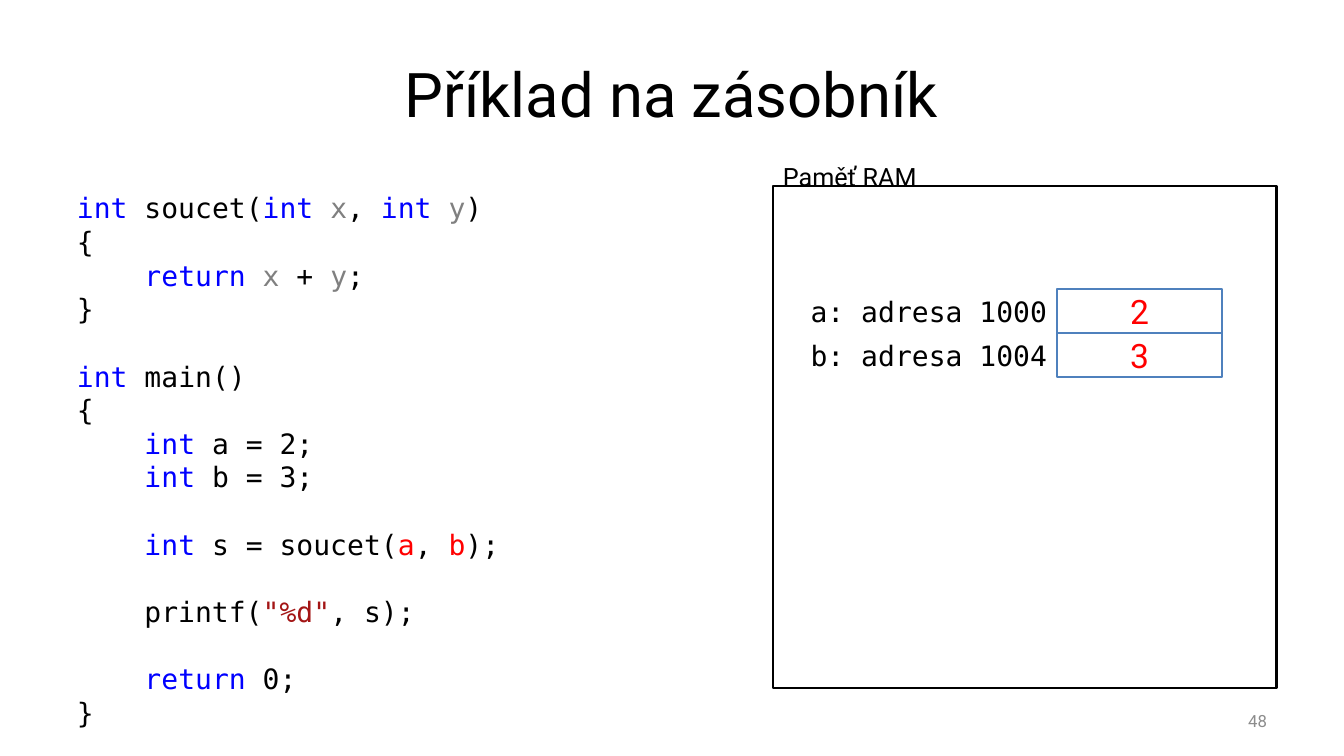
from pptx import Presentation
from pptx.dml.color import RGBColor
from pptx.enum.shapes import MSO_SHAPE
from pptx.enum.text import MSO_ANCHOR, PP_ALIGN
from pptx.util import Emu, Pt

RECT = MSO_SHAPE.RECTANGLE
TOP, MIDDLE = MSO_ANCHOR.TOP, MSO_ANCHOR.MIDDLE
LEFT, CENTER, RIGHT = PP_ALIGN.LEFT, PP_ALIGN.CENTER, PP_ALIGN.RIGHT
SANS, MONO = "Roboto", "DejaVu Sans Mono"
BLACK, WHITE, RED, BLUE, GRAY = "000000", "FFFFFF", "FF0000", "0000FF", "808080"
TOKENS = {"int": BLUE, "return": BLUE, "x": GRAY, "y": GRAY,
          "a": RED, "b": RED, '"%d"': "A31515"}
CODE = """int| soucet(|int |x|, |int |y|)
{
    |return |x| + |y|;
}

int |main()
{
    |int| a = 2;
    |int| b = 3;

    |int| s = soucet(|a|, |b|);

    printf(|"%d"|, s);

    |return| 0;
}"""
VARIABLES = [("a: adresa 1000", "2"), ("b: adresa 1004", "3")]


def px(n):
    return Emu(round(n * 914400 / 100.8))


def color(value):
    return RGBColor.from_string(value)


class Deck:
    """Hold the presentation, its text style and the current slide."""

    def __init__(self, width, height):
        self.prs = Presentation()
        self.prs.slide_width, self.prs.slide_height = px(width), px(height)
        self.s = self.prs.slides.add_slide(self.prs.slide_layouts[6])

    def style(self, r, size, font, ink):
        r.font.size = Pt(size)
        r.font.name = font
        r.font.color.rgb = color(ink)

    def set_text(self, sp, text, size, font, ink, align, anchor):
        tf = sp.text_frame
        tf.word_wrap = True
        tf.vertical_anchor = anchor
        p = tf.paragraphs[0]
        p.text = text
        p.alignment = align
        self.style(p.runs[0], size, font, ink)

    def text(self, box, text, size, font=SANS, ink=BLACK, align=LEFT, anchor=MIDDLE):
        sp = self.s.shapes.add_textbox(*map(px, box))
        self.set_text(sp, text, size, font, ink, align, anchor)

    def rect(self, box, line, text=""):
        sp = self.s.shapes.add_shape(RECT, *map(px, box))
        sp.shadow.inherit = False
        sp.fill.solid()
        sp.fill.fore_color.rgb = color(WHITE)
        sp.line.color.rgb = color(line)
        sp.line.width = Pt(2)
        if text:
            self.set_text(sp, text, 24, SANS, RED, CENTER, MIDDLE)

    def code(self, box, source):
        tf = self.s.shapes.add_textbox(*map(px, box)).text_frame
        tf.word_wrap = True
        for i, line in enumerate(source.split("\n")):
            p = tf.add_paragraph() if i else tf.paragraphs[0]
            p.line_spacing = Pt(24)
            for piece in filter(None, line.split("|")):
                r = p.add_run()
                r.text = piece
                self.style(r, 20, MONO, TOKENS.get(piece.strip(), BLACK))


def main():
    deck = Deck(1344, 756)
    deck.text((67, 30, 1210, 126), "Příklad na zásobník", 44, align=CENTER)
    deck.text((964, 701, 313, 40), "48", 12, ink="8C8C8C", align=RIGHT)
    deck.rect((773, 186, 504, 502), BLACK)
    deck.text((773, 156, 187, 40), "Paměť RAM", 18, anchor=TOP)
    for i, (label, value) in enumerate(VARIABLES):
        top = 289 + 44 * i
        deck.rect((1057, top, 165, 44), "4F81BD", value)
        deck.text((797, top, 260, 44), label, 20, MONO, align=RIGHT)
    deck.code((67, 186, 672, 553), CODE)
    deck.prs.save("out.pptx")


if __name__ == "__main__":
    main()
